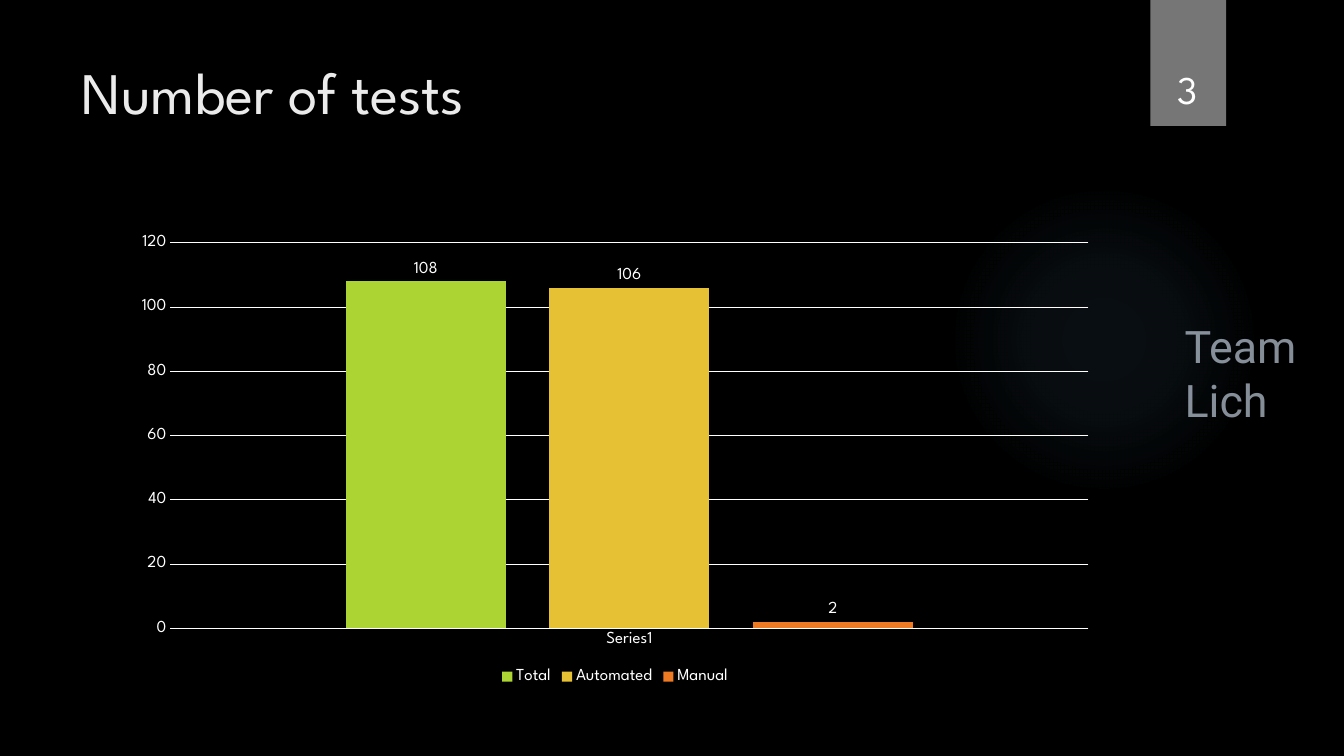
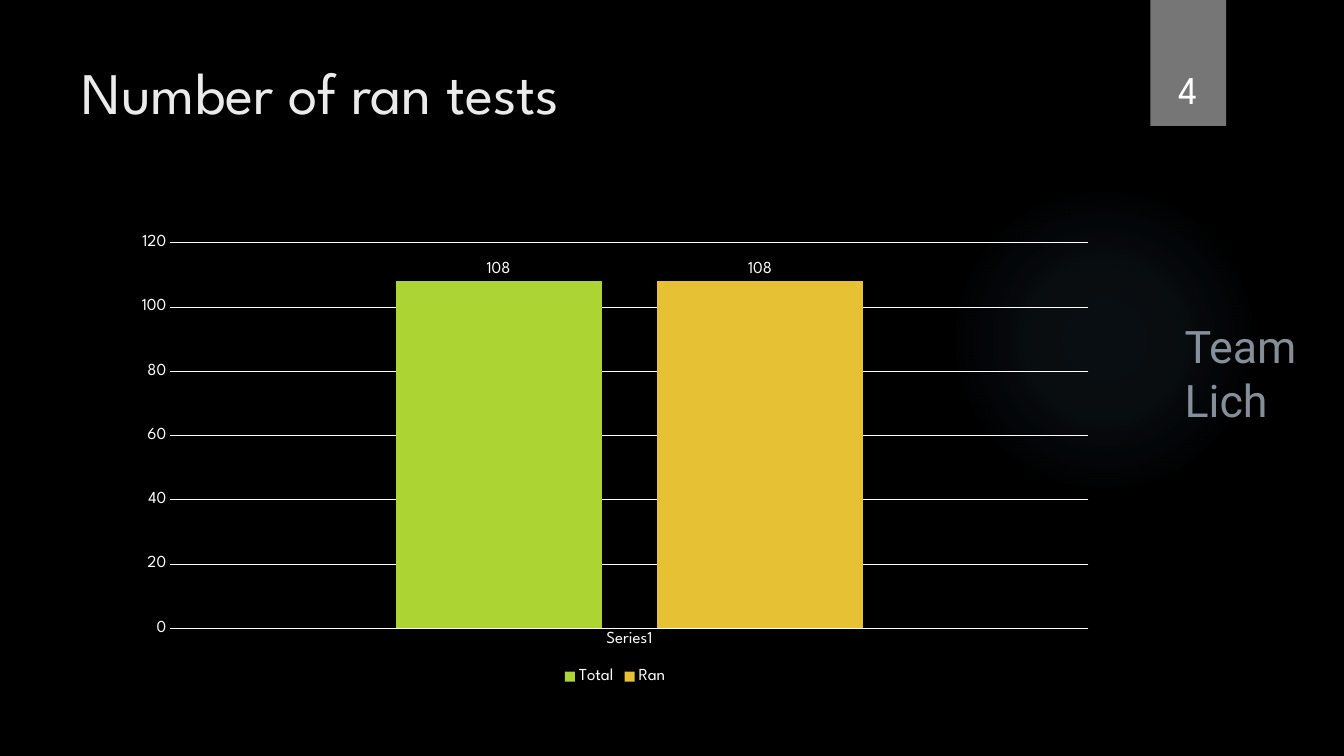
"""Build the two test-count slides with their shared dark style."""
from lxml import etree
from pptx import Presentation
from pptx.chart.data import CategoryChartData
from pptx.dml.color import RGBColor
from pptx.enum.chart import XL_CHART_TYPE, XL_LABEL_POSITION, XL_LEGEND_POSITION, XL_TICK_MARK
from pptx.enum.shapes import MSO_SHAPE
from pptx.enum.text import MSO_ANCHOR, PP_ALIGN
from pptx.oxml import parse_xml
from pptx.oxml.ns import nsdecls, qn
from pptx.util import Inches, Pt

COLUMNS = XL_CHART_TYPE.COLUMN_CLUSTERED
ABOVE_BAR = XL_LABEL_POSITION.OUTSIDE_END
LEGEND_BELOW = XL_LEGEND_POSITION.BOTTOM
NO_TICK = XL_TICK_MARK.NONE
ELLIPSE, RECTANGLE = MSO_SHAPE.OVAL, MSO_SHAPE.RECTANGLE
TOP, BOTTOM = MSO_ANCHOR.TOP, MSO_ANCHOR.BOTTOM
LEFT, CENTER = PP_ALIGN.LEFT, PP_ALIGN.CENTER

BLACK = RGBColor(0x00, 0x00, 0x00)
WHITE = RGBColor(0xFF, 0xFF, 0xFF)
GREY = RGBColor(0x76, 0x76, 0x76)
TITLE_GREY = RGBColor(0xEB, 0xEB, 0xEB)
TEAM_BLUE = RGBColor(0xDE, 0xEC, 0xFD)
GLOW_BLUE = RGBColor(0x7A, 0xC4, 0xF0)
BAR_COLORS = (
    RGBColor(0xAC, 0xD4, 0x33),
    RGBColor(0xE6, 0xC1, 0x33),
    RGBColor(0xEF, 0x7A, 0x24),
)

HEADING_FONT, TEAM_FONT = "League Spartan", "Roboto"
TITLE_FORMAT = {"name": HEADING_FONT, "size": Pt(42)}
NUMBER_FORMAT = {"name": HEADING_FONT, "size": Pt(28)}
TEAM_FORMAT = {"name": TEAM_FONT, "size": Pt(32)}
CHART_FORMAT = {"name": HEADING_FONT, "size": Pt(12)}
LABEL_FORMAT = {"show_value": True, "position": ABOVE_BAR}
AXIS_FORMAT = {"major_tick_mark": NO_TICK, "minor_tick_mark": NO_TICK}
SCALE_FORMAT = {"minimum_scale": 0, "maximum_scale": 120, "major_unit": 20}
PLOT_FORMAT = {"gap_width": 219, "overlap": -27, "vary_by_categories": False}
LEGEND_FORMAT = {"position": LEGEND_BELOW, "include_in_layout": False}
GLOW_STOPS = ((0, 7), (36, 6), (69, 0))
FIRST_NUMBER = 3
TEST_COUNTS = (
    ("Number of tests", {"Total": 108, "Automated": 106, "Manual": 2}),
    ("Number of ran tests", {"Total": 108, "Ran": 108}),
)


def apply(target, values):
    """Set every attribute listed in values on target."""
    for attribute, value in values.items():
        setattr(target, attribute, value)


class Deck:
    """Hold the presentation, its style and the current slide."""

    def __init__(self):
        """Start a widescreen presentation."""
        self.presentation = Presentation()
        self.presentation.slide_width = Inches(13.33)
        self.presentation.slide_height = Inches(7.5)
        self.slide = None

    def area(self, left, top, width, height):
        """Turn percentages of the slide into a position and size."""
        across = self.presentation.slide_width / 100
        down = self.presentation.slide_height / 100
        return [round(share * unit) for share, unit in
                zip((left, top, width, height), (across, down, across, down))]

    def new_slide(self, number):
        """Add a slide with the glow, number tab and team name."""
        self.slide = self.presentation.slides.add_slide(self.presentation.slide_layouts[6])
        background = self.slide.background.fill
        background.solid()
        background.fore_color.rgb = BLACK
        self.glow()
        self.number_tab()
        self.text("Team Lich", (87.4, 49.87, 12.83, 7.2), TEAM_FORMAT, TEAM_BLUE, BOTTOM, opacity=60)
        self.text(str(number), (84.92, 4.27, 6.9, 11.2), NUMBER_FORMAT, WHITE, BOTTOM, CENTER)

    def shape(self, kind, place, color):
        """Add a plain filled shape without outline or shadow."""
        shape = self.slide.shapes.add_shape(kind, *self.area(*place))
        shape.shadow.inherit = False
        shape.fill.solid()
        shape.fill.fore_color.rgb = color
        shape.line.fill.background()
        return shape

    def glow(self):
        """Add the faint round glow behind the content."""
        glow = self.shape(ELLIPSE, (70.59, 24.4, 23.11, 41.07), GLOW_BLUE)
        stops = "".join(
            f'<a:gs pos="{position * 1000}"><a:srgbClr val="{GLOW_BLUE}">'
            f'<a:alpha val="{opacity * 1000}"/></a:srgbClr></a:gs>'
            for position, opacity in GLOW_STOPS)
        gradient = parse_xml(
            f'<a:gradFill {nsdecls("a")}><a:gsLst>{stops}</a:gsLst><a:path path="circle">'
            '<a:fillToRect l="50000" t="50000" r="50000" b="50000"/></a:path></a:gradFill>')
        properties = glow._element.spPr
        properties.replace(properties.find(qn("a:solidFill")), gradient)

    def number_tab(self):
        """Add the grey tab with its soft shadow."""
        tab = self.shape(RECTANGLE, (85.6, 0, 5.63, 16.67), GREY)
        tab._element.spPr.find(qn("a:effectLst")).append(parse_xml(
            f'<a:outerShdw {nsdecls("a")} blurRad="{Pt(3)}" dist="{Pt(2)}" dir="5400000">'
            f'<a:srgbClr val="{BLACK}"><a:alpha val="45000"/></a:srgbClr></a:outerShdw>'))

    def text(self, words, place, font_format, color, anchor, align=LEFT, opacity=100):
        """Add one line or wrapped block of text."""
        frame = self.slide.shapes.add_textbox(*self.area(*place)).text_frame
        apply(frame, {"word_wrap": True, "vertical_anchor": anchor})
        paragraph = frame.paragraphs[0]
        paragraph.alignment = align
        run = paragraph.add_run()
        run.text = words
        apply(run.font, font_format)
        run.font.color.rgb = color
        if opacity < 100:
            tint = run._r.find(".//" + qn("a:srgbClr"))
            etree.SubElement(tint, qn("a:alpha"), val=str(opacity * 1000))

    def title(self, words):
        """Add the slide title."""
        self.text(words, (5.33, 6.67, 77.19, 20.4), TITLE_FORMAT, TITLE_GREY, TOP)

    def column_chart(self, counts):
        """Add a column chart with one series for each count."""
        data = CategoryChartData()
        data.categories = ["Series1"]
        for name, count in counts.items():
            data.add_series(name, [count])
        place = self.area(9.08, 29.87, 73.37, 61.2)
        chart = self.slide.shapes.add_chart(COLUMNS, *place, data).chart
        apply(chart, {"has_title": False, "has_legend": True})
        apply(chart.legend, LEGEND_FORMAT)
        plot = chart.plots[0]
        apply(plot, PLOT_FORMAT)
        names, scale = chart.category_axis, chart.value_axis
        for axis in (names, scale):
            apply(axis, AXIS_FORMAT)
        apply(scale, SCALE_FORMAT)
        scale.format.line.fill.background()
        for line in (names.format.line, scale.major_gridlines.format.line):
            line.color.rgb = WHITE
            line.width = Pt(0.75)
        fonts = [chart.font, chart.legend.font, names.tick_labels.font, scale.tick_labels.font]
        for series, color in zip(plot.series, BAR_COLORS):
            series.format.fill.solid()
            series.format.fill.fore_color.rgb = color
            apply(series.data_labels, LABEL_FORMAT)
            fonts.append(series.data_labels.font)
        for font in fonts:
            apply(font, CHART_FORMAT)
            font.color.rgb = WHITE


def main():
    """Build and save the slides."""
    deck = Deck()
    for number, (heading, counts) in enumerate(TEST_COUNTS, FIRST_NUMBER):
        deck.new_slide(number)
        deck.column_chart(counts)
        deck.title(heading)
    deck.presentation.save("out.pptx")


if __name__ == "__main__":
    main()
